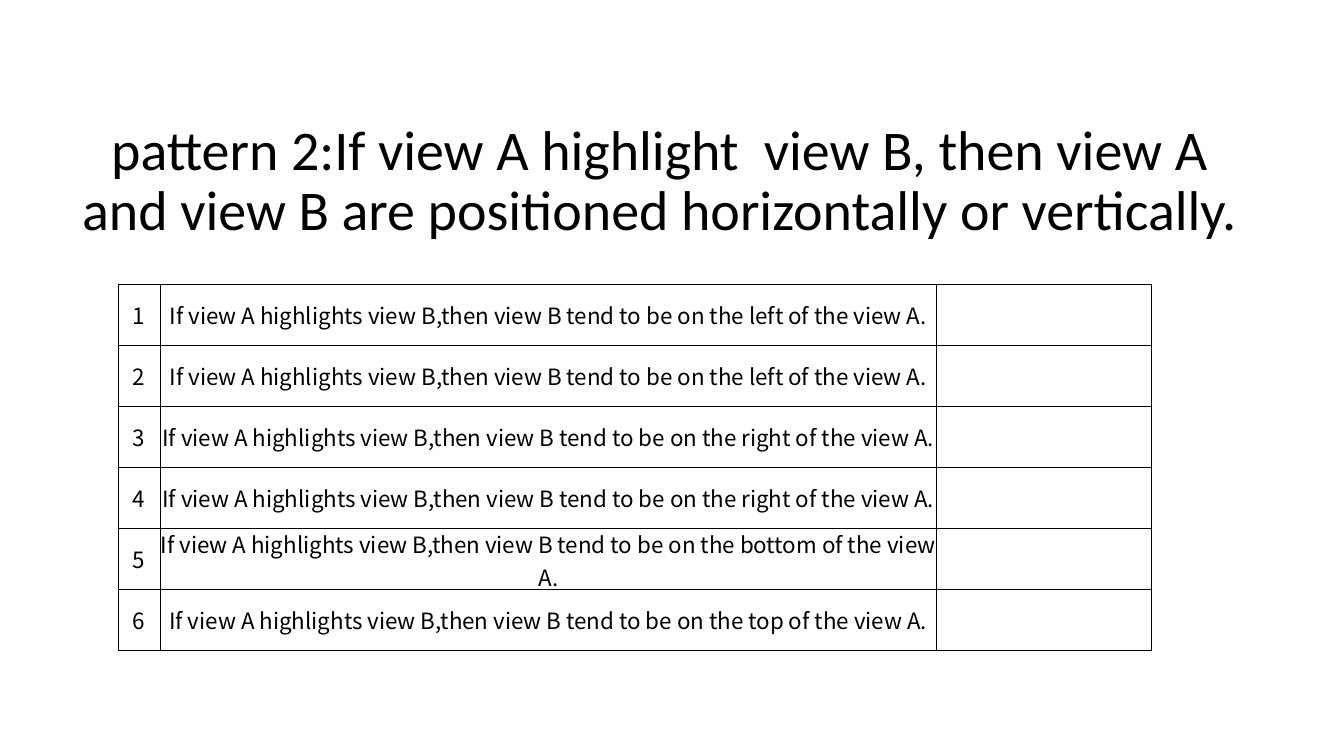
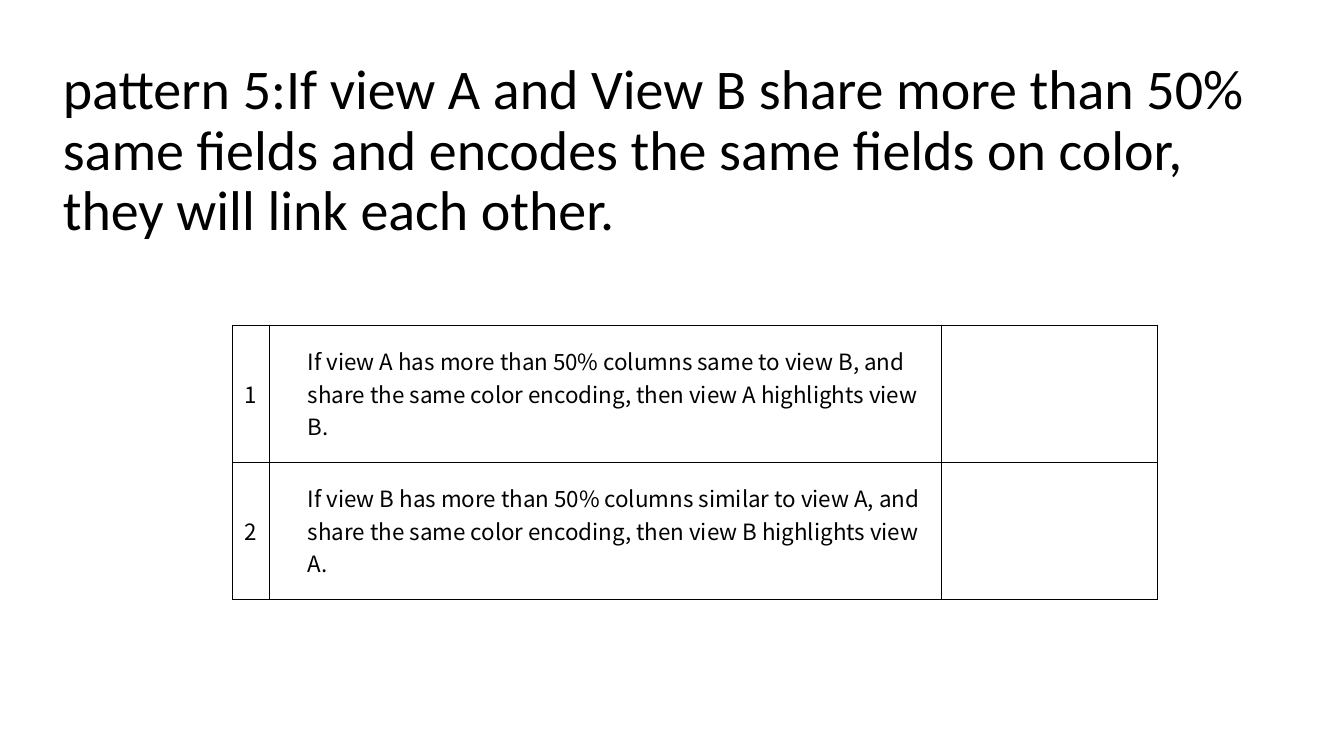
from lxml import etree
from pptx import Presentation
from pptx import util as u
from pptx.dml.color import RGBColor
from pptx.enum import text
from pptx.oxml import ns

HIGHLIGHT = "If view A highlights view B,then view B tend to be on the {} of the view A."
LINK = ("If view {0} has more than 50% columns {2} to view {1}, and share the same "
        "color encoding, then view {0} highlights view {1}.")
CENTER, LEFT = text.PP_ALIGN.CENTER, text.PP_ALIGN.LEFT

SLIDES = [
    {"title": "pattern 2:If view A highlight  view B, then view A and view B "
              "are positioned horizontally or vertically.",
     "title_align": CENTER,
     "rules": [HIGHLIGHT.format(side) for side in
               ("left", "left", "right", "right", "bottom", "top")],
     "rule_align": CENTER, "indent": 0,
     "origin": (118, 284), "columns": (42, 777, 215), "row": 61},
    {"title": "pattern 5:If view A and View B share more than 50% same fields "
              "and encodes the same fields on color, they will link each other.",
     "title_align": LEFT,
     "rules": [LINK.format("A", "B", "same"), LINK.format("B", "A", "similar")],
     "rule_align": LEFT, "indent": 39,
     "origin": (232, 325), "columns": (37, 673, 216), "row": 137},
]

COLORS = {"text": "000000", "border": "000000"}
TITLE_BOX = (53, 86, 1213, 162)
TITLE_FONT = {"name": "Calibri", "size": u.Pt(40)}
CELL_FONT = {"name": "Noto Sans CJK SC", "size": u.Pt(16)}
NO_MARGINS = dict.fromkeys(
    ("margin_left", "margin_top", "margin_right", "margin_bottom"), 0)
SLIDE_SIZE = (1344, 756)
SCALE = 914400 / 100.8


def px(n):
    """Turn pixels into EMU."""
    return u.Emu(round(n * SCALE))


def apply(obj, values):
    """Set each attribute named in a dict."""
    for name, value in values.items():
        setattr(obj, name, value)


def write(tf, words, font, **paragraph):
    """Put one formatted run into the first paragraph and return the paragraph."""
    p = tf.paragraphs[0]
    apply(p, paragraph)
    r = p.add_run()
    r.text = words
    apply(r.font, font)
    r.font.color.rgb = RGBColor.from_string(COLORS["text"])
    return p


def add_title(s, words, align):
    """Add the bottom-anchored slide title."""
    tf = s.shapes.add_textbox(*map(px, TITLE_BOX)).text_frame
    apply(tf, {"word_wrap": True, "vertical_anchor": text.MSO_ANCHOR.BOTTOM})
    write(tf, words, TITLE_FONT, alignment=align, line_spacing=0.9)


def style_cell(cell):
    """Give a cell thin borders on all sides, no fill and no margins."""
    tc_pr = cell._tc.get_or_add_tcPr()
    for side in "LRTB":
        ln = etree.SubElement(tc_pr, ns.qn(f"a:ln{side}"), w=str(u.Pt(0.75)))
        fill = etree.SubElement(ln, ns.qn("a:solidFill"))
        etree.SubElement(fill, ns.qn("a:srgbClr"), val=COLORS["border"])
    cell.fill.background()
    apply(cell, {"vertical_anchor": text.MSO_ANCHOR.MIDDLE, **NO_MARGINS})


def add_rules(s, rules, origin, columns, row, align, indent):
    """Add the table of numbered rules with an empty last column."""
    size = (sum(columns), row * len(rules))
    table = s.shapes.add_table(len(rules), len(columns),
                               *map(px, origin + size)).table
    apply(table, {"first_row": False, "horz_banding": False})
    for column, width in zip(table.columns, columns):
        column.width = px(width)
    for cell in table.iter_cells():
        style_cell(cell)
    for i, rule in enumerate(rules):
        table.rows[i].height = px(row)
        write(table.cell(i, 0).text_frame, str(i + 1), CELL_FONT, alignment=CENTER)
        p = write(table.cell(i, 1).text_frame, rule, CELL_FONT, alignment=align)
        p._p.get_or_add_pPr().set("marL", str(px(indent)))


def main():
    """Build and save the presentation."""
    prs = Presentation()
    prs.slide_width, prs.slide_height = map(px, SLIDE_SIZE)
    for content in SLIDES:
        s = prs.slides.add_slide(prs.slide_layouts[6])
        add_title(s, content["title"], content["title_align"])
        add_rules(s, content["rules"], content["origin"], content["columns"],
                  content["row"], content["rule_align"], content["indent"])
    prs.save("out.pptx")


main()
